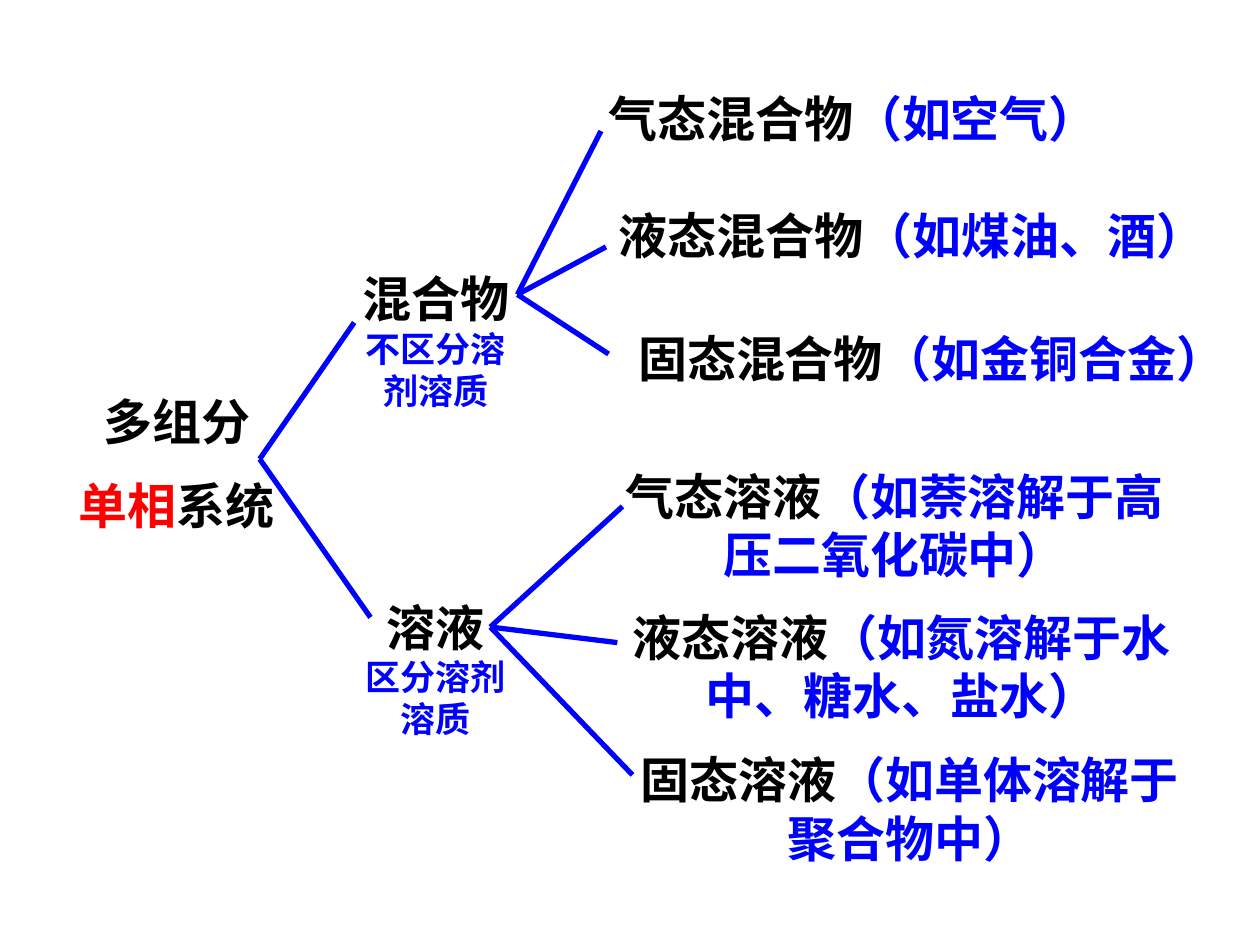
from lxml.etree import SubElement
from pptx import Presentation
from pptx.dml.color import RGBColor
from pptx.enum.shapes import MSO_CONNECTOR
from pptx.enum.text import MSO_AUTO_SIZE, PP_ALIGN
from pptx.oxml.ns import qn
from pptx.util import Pt

COLORS = {"term": "000000", "example": "0000FF", "accent": "FF0000", "link": "0000FF"}
FONT = "Times New Roman"


def add_run(paragraph, text, color="term", size=28):
    run = paragraph.add_run()
    run.text = text
    run.font.name = FONT
    run.font.size = Pt(size)
    run.font.bold = True
    run.font.color.rgb = RGBColor.from_string(COLORS[color])


def add_label(slide, box, lines, gap=0):
    label = slide.shapes.add_textbox(*map(Pt, box))
    frame = label.text_frame
    frame.word_wrap = True
    frame.auto_size = MSO_AUTO_SIZE.SHAPE_TO_FIT_TEXT
    for index, runs in enumerate(lines):
        paragraph = frame.add_paragraph() if index else frame.paragraphs[0]
        paragraph.alignment = PP_ALIGN.CENTER
        paragraph.space_before = Pt(gap if index else 0)
        for text, style in runs:
            add_run(paragraph, text, **style)


def add_link(slide, start, end):
    link = slide.shapes.add_connector(MSO_CONNECTOR.STRAIGHT, *map(Pt, (*start, *end)))
    link.line.color.rgb = RGBColor.from_string(COLORS["link"])
    link.line.width = Pt(3)
    SubElement(link._element.spPr, qn("a:effectLst"))


def add_fan(slide, origin, hub, tips):
    left, top = origin
    for x, y in tips:
        add_link(slide, (left + hub[0], top + hub[1]), (left + x, top + y))


def add_root(slide, box, hub, tips):
    add_label(slide, box, [
        [("多组分", {})],
        [("单相", {"color": "accent"}), ("系统", {})],
    ], gap=14)
    add_fan(slide, box[:2], hub, tips)


def add_branch(slide, origin, name, note, head_top, hub, leaf_height, leaves):
    left, top = origin
    add_label(slide, (left, top + head_top, 113.7, 89.3), [
        [(name, {})],
        [(note, {"color": "example", "size": 20})],
    ])
    for term, example, (x, y, width), _ in leaves:
        add_label(slide, (left + x, top + y, width, leaf_height),
                  [[(term, {}), (example, {"color": "example"})]])
    add_fan(slide, origin, hub, [tip for *_, tip in leaves])


def main():
    presentation = Presentation()
    presentation.slide_width = Pt(720)
    presentation.slide_height = Pt(540)
    slide = presentation.slides.add_slide(presentation.slide_layouts[6])

    add_root(slide, (37.4, 220.3, 127.4, 91.4), (111, 42), [(165, -36), (174.3, 132.5)])
    add_branch(slide, (192.2, 46.8), "混合物", "不区分溶剂溶质", 103, (103.5, 121.5), 41, [
        ("气态混合物", "（如空气）", (129, 0, 332.6), (151.2, 28.1)),
        ("液态混合物", "（如煤油、酒）", (149.8, 67, 358.6), (154.1, 94.3)),
        ("固态混合物", "（如金铜合金）", (152.7, 137.5, 375.1), (155.6, 155.5)),
    ])
    add_branch(slide, (192.2, 262.8), "溶液", "区分溶剂溶质", 74.9, (88, 95.5), 74.2, [
        ("气态溶液", "（如萘溶解于高压二氧化碳中）", (157, 0, 324), (163.5, 26.6)),
        ("液态溶液", "（如氮溶解于水中、糖水、盐水）", (154.1, 80.6, 337.7), (160.6, 104.4)),
        ("固态溶液", "（如单体溶解于聚合物中）", (163.5, 162, 328.3), (169.2, 180)),
    ])
    presentation.save("out.pptx")


if __name__ == "__main__":
    main()
